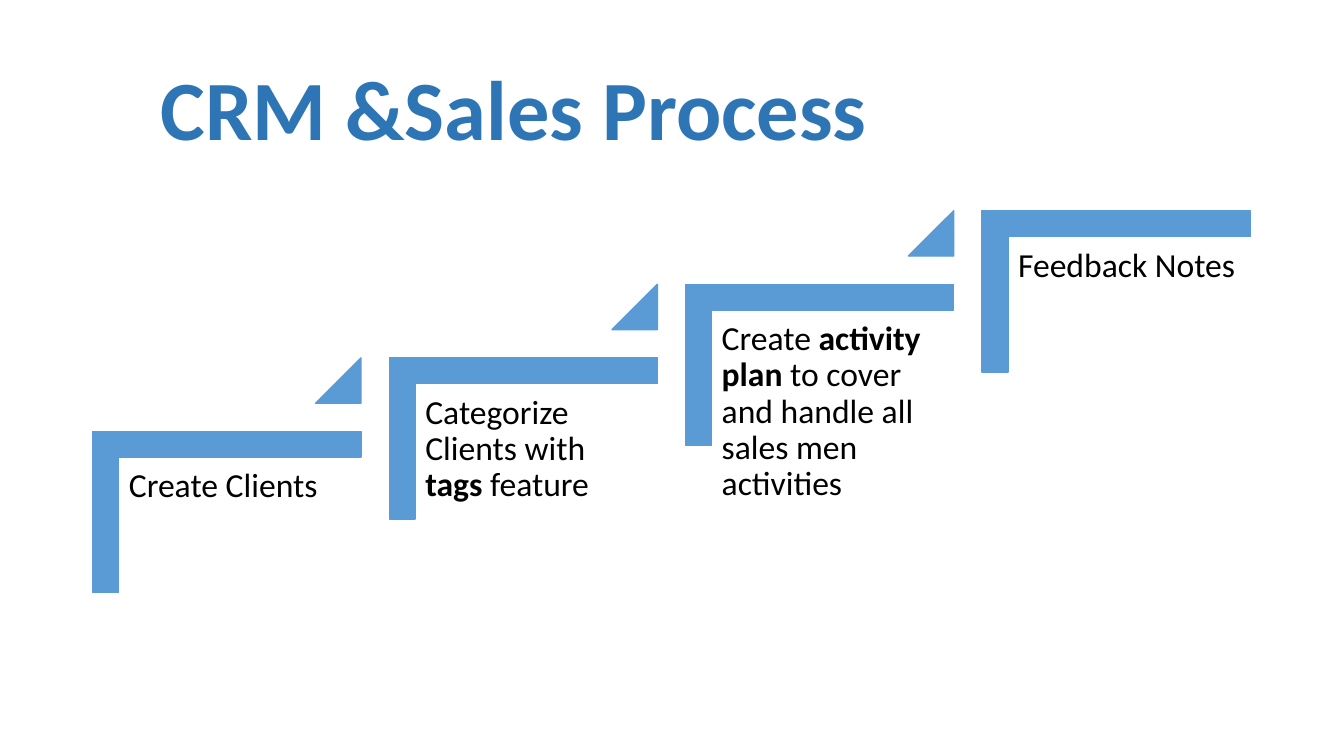
"""Build the CRM and sales process staircase slide."""
import pptx
import pptx.dml.color
import pptx.enum.shapes
import pptx.enum.text
import pptx.util

Inches = pptx.util.Inches
SHAPE = pptx.enum.shapes.MSO_SHAPE
BLUE = "5B9BD5"
STEP_X, STEP_Y = 2.94, 0.73
STEPS = [
    [("Create Clients", False)],
    [("Categorize Clients with ", False), ("tags", True), (" feature", False)],
    [("Create ", False), ("activity plan ", True),
     ("to cover and handle all sales men activities", False)],
    [("Feedback Notes", False)],
]


def rgb(value):
    return pptx.dml.color.RGBColor.from_string(value)


def add_text(s, box, runs, size, color):
    tf = s.shapes.add_textbox(*[Inches(v) for v in box]).text_frame
    tf.word_wrap = True
    p = tf.paragraphs[0]
    p.line_spacing = 0.9
    for text, bold in runs:
        r = p.add_run()
        r.text = text
        r.font.name = "Calibri"
        r.font.size = pptx.util.Pt(size)
        r.font.bold = bold
        r.font.color.rgb = rgb(color)
    return tf


prs = pptx.Presentation()
prs.slide_width = Inches(13.33)
prs.slide_height = Inches(7.5)
s = prs.slides.add_slide(prs.slide_layouts[6])

tf = add_text(s, (0.92, 0.4, 8.35, 1.45), [("CRM &Sales Process", True)], 60.3, "2E75B6")
tf.vertical_anchor = pptx.enum.text.MSO_ANCHOR.MIDDLE
tf.paragraphs[0].alignment = pptx.enum.text.PP_ALIGN.CENTER

for i, runs in enumerate(STEPS):
    dx, dy = i * STEP_X, -i * STEP_Y
    corner = s.shapes.add_shape(SHAPE.CORNER, Inches(1.45 + dx), Inches(3.75 + dy),
                                Inches(1.6), Inches(2.66))
    corner.rotation = 90
    corner.adjustments[0] = corner.adjustments[1] = 0.16
    parts = [corner]

    if i < len(STEPS) - 1:
        triangle = s.shapes.add_shape(SHAPE.ISOSCELES_TRIANGLE, Inches(3.13 + dx),
                                      Inches(3.55 + dy), Inches(0.45), Inches(0.45))
        triangle.adjustments[0] = 1
        parts.append(triangle)

    for sp in parts:
        sp.shadow.inherit = False
        sp.fill.solid()
        sp.fill.fore_color.rgb = rgb(BLUE)
        sp.line.color.rgb = rgb(BLUE)
        sp.line.width = pptx.util.Pt(1)

    tf = add_text(s, (1.18 + dx, 4.55 + dy, 2.4, 2.11), runs, 24, "000000")
    tf.margin_left = tf.margin_right = tf.margin_top = tf.margin_bottom = Inches(0.1)

prs.save("out.pptx")
